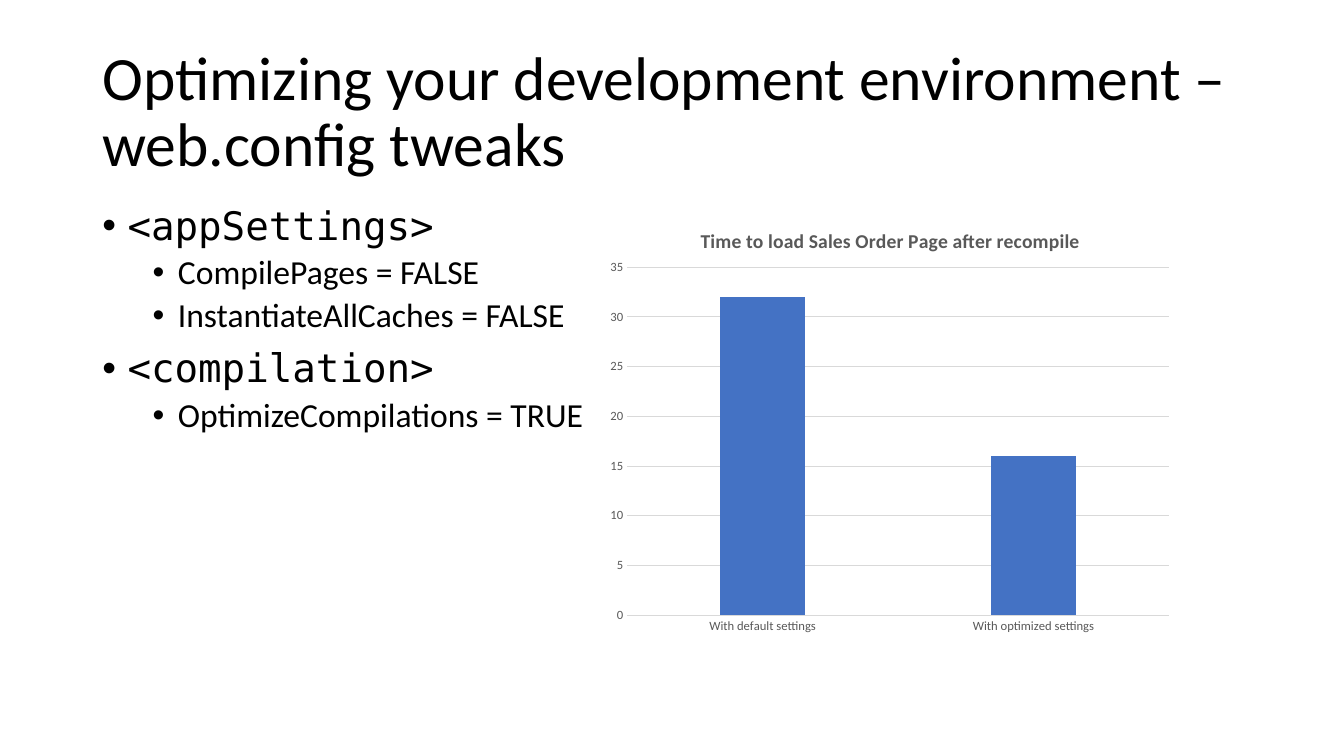
from lxml import etree
from pptx import Presentation
from pptx.chart.data import CategoryChartData
from pptx.dml.color import RGBColor
from pptx.enum import chart as ch, text as t
from pptx.oxml import ns
from pptx.util import Pt

# Content
HEAD = "Optimizing your development environment – web.config tweaks"
ITEMS = [
    (0, "<appSettings>"),
    (1, "CompilePages = FALSE"),
    (1, "InstantiateAllCaches = FALSE"),
    (0, "<compilation>"),
    (1, "OptimizeCompilations = TRUE"),
]
CHART = "Time to load Sales Order Page after recompile"
TIMES = {"With default settings": 32, "With optimized settings": 16}

# Style: font, size, space before and left margin for each level
LEVELS = [("DejaVu Sans Mono", 28, 10, 18), ("Calibri", 24, 5, 54)]
HUE = {"ink": "000000", "gray": "595959", "grid": "D9D9D9", "bar": "4472C4"}


def rgb(name):
    return RGBColor.from_string(HUE[name])


def style(font, size, hue, face="Calibri", bold=False):
    font.name, font.size, font.bold = face, Pt(size), bold
    font.color.rgb = rgb(hue)


def add_box(left, top, width, height, anchor):
    box = slide.shapes.add_textbox(Pt(left), Pt(top), Pt(width), Pt(height))
    frame = box.text_frame
    frame.word_wrap = True
    frame.vertical_anchor = anchor
    return frame


def add_run(para, words, size, face="Calibri"):
    para.line_spacing = 0.9
    run = para.add_run()
    run.text = words
    style(run.font, size, "ink", face)


def place(part, index, **spots):
    """Give a chart part a fixed place, in fractions of the chart."""
    for old in part.findall(ns.qn("c:layout")):
        part.remove(old)
    layout = etree.Element(ns.qn("c:layout"))
    manual = etree.SubElement(layout, ns.qn("c:manualLayout"))
    if "w" in spots:
        etree.SubElement(manual, ns.qn("c:layoutTarget"), val="inner")
    for key in "xy":
        etree.SubElement(manual, ns.qn(f"c:{key}Mode"), val="edge")
    for key, val in spots.items():
        etree.SubElement(manual, ns.qn(f"c:{key}"), val=str(val))
    part.insert(index, layout)


deck = Presentation()
deck.slide_width, deck.slide_height = Pt(960), Pt(540)
slide = deck.slides.add_slide(deck.slide_layouts[6])

# Title
frame = add_box(66, 28.75, 828, 104.4, t.MSO_ANCHOR.MIDDLE)
add_run(frame.paragraphs[0], HEAD, 44)

# Bullets
frame = add_box(66, 143.75, 361.5, 342.6, t.MSO_ANCHOR.TOP)
for i, (level, words) in enumerate(ITEMS):
    face, size, gap, left = LEVELS[level]
    para = frame.add_paragraph() if i else frame.paragraphs[0]
    props = para._p.get_or_add_pPr()
    props.set("marL", str(Pt(left)))
    props.set("indent", str(Pt(-18)))
    etree.SubElement(props, ns.qn("a:buFont"), typeface="Arial")
    etree.SubElement(props, ns.qn("a:buChar"), char="•")
    para.level = level
    para.space_before = Pt(gap if i else 0)
    add_run(para, words, size, face)

# Chart
data = CategoryChartData()
data.categories = list(TIMES)
data.add_series("Series 1", list(TIMES.values()))
chart = slide.shapes.add_chart(
    ch.XL_CHART_TYPE.COLUMN_CLUSTERED,
    Pt(427.2), Pt(143.75), Pt(416), Pt(314.6), data).chart
style(chart.font, 10, "ink")
chart.has_legend = False

chart.has_title = True
title = chart.chart_title
run = title.text_frame.paragraphs[0].add_run()
run.text = CHART
style(run.font, 14, "gray", bold=True)
title.include_in_layout = False
place(title._element, 1, x=0.17, y=0.05)

plot = chart.plots[0]
plot.gap_width, plot.overlap = 219, -27
plot.vary_by_categories = False
fill = plot.series[0].format.fill
fill.solid()
fill.fore_color.rgb = rgb("bar")
place(chart._chartSpace.chart.plotArea, 0, x=0.05, y=0.15, w=0.93, h=0.79)

# Axes
cats, vals = chart.category_axis, chart.value_axis
for axis in (cats, vals):
    axis.major_tick_mark = axis.minor_tick_mark = ch.XL_TICK_MARK.NONE
    style(axis.tick_labels.font, 9, "gray")
vals.minimum_scale, vals.maximum_scale, vals.major_unit = 0, 35, 5
vals.has_major_gridlines = True
vals.format.line.fill.background()
for line in (cats.format.line, vals.major_gridlines.format.line):
    line.color.rgb = rgb("grid")
    line.width = Pt(0.75)

deck.save("out.pptx")
